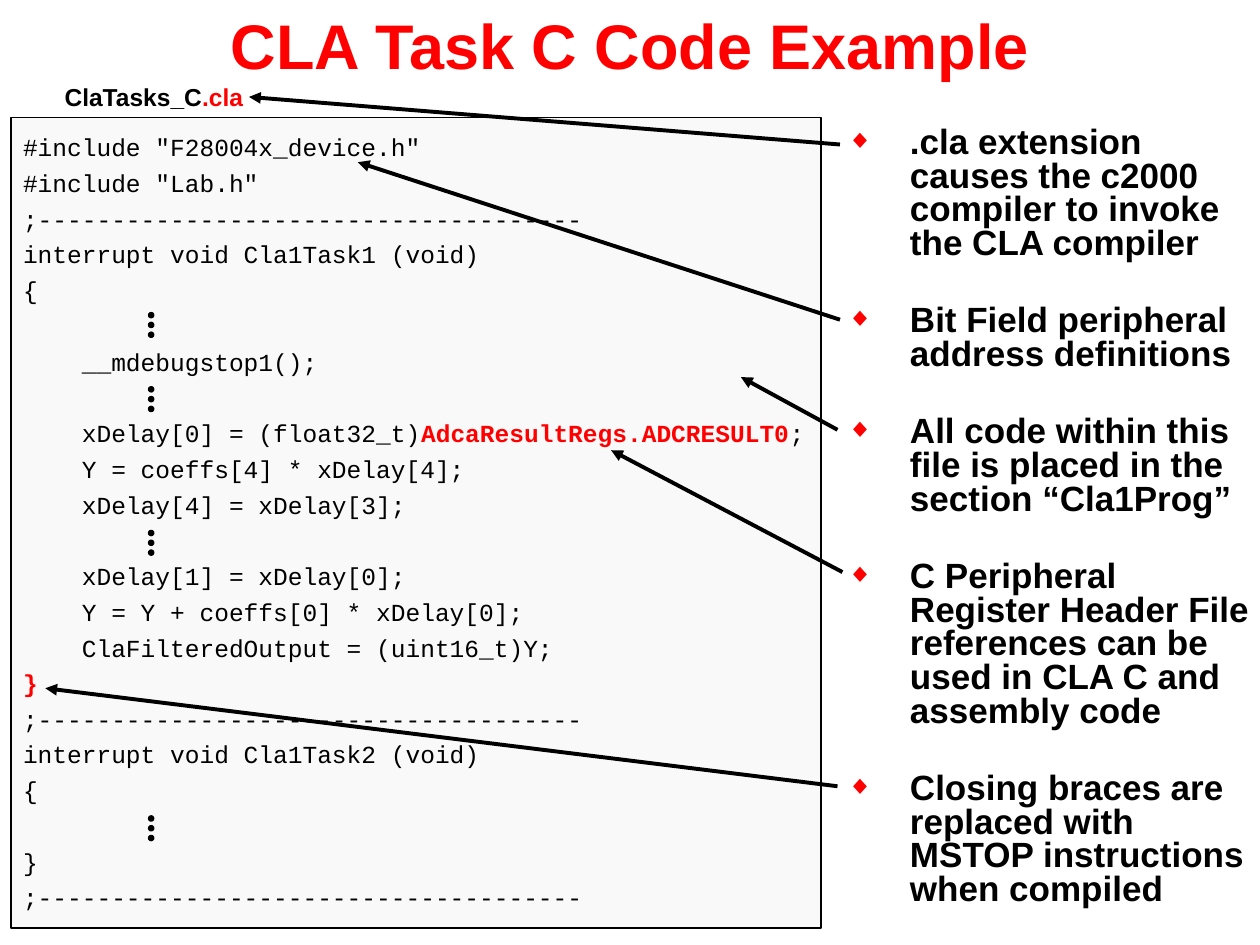
from lxml import etree
from pptx import Presentation
from pptx.dml.color import RGBColor
from pptx.enum.shapes import MSO_CONNECTOR, MSO_SHAPE
from pptx.enum.text import MSO_ANCHOR, MSO_AUTO_SIZE, PP_ALIGN
from pptx.oxml.ns import qn
from pptx.util import Pt

RECTANGLE, OVAL = MSO_SHAPE.RECTANGLE, MSO_SHAPE.OVAL
STRAIGHT = MSO_CONNECTOR.STRAIGHT
TOP, CENTER, LEFT = MSO_ANCHOR.TOP, PP_ALIGN.CENTER, PP_ALIGN.LEFT
NO_AUTOFIT = MSO_AUTO_SIZE.NONE

COLORS = {"ink": "000000", "accent": "FF0000", "code_fill": "F9F9F9"}

RULE = ";" + "-" * 37
ELIDED = None  # a skipped code line, marked by dots
CODE_GAP, CODE_PITCH = 6.9, 20.75

# Each code line is a list of (text, highlighted) runs
CODE = [
    [('#include "F28004x_device.h"', False)],
    [('#include "Lab.h"', False)],
    [(RULE, False)],
    [("interrupt void Cla1Task1 (void)", False)],
    [("{", False)],
    ELIDED,
    [("    __mdebugstop1();", False)],
    ELIDED,
    [("    xDelay[0] = (float32_t)", False),
     ("AdcaResultRegs.ADCRESULT0", True), (";", False)],
    [("    Y = coeffs[4] * xDelay[4];", False)],
    [("    xDelay[4] = xDelay[3];", False)],
    ELIDED,
    [("    xDelay[1] = xDelay[0];", False)],
    [("    Y = Y + coeffs[0] * xDelay[0];", False)],
    [("    ClaFilteredOutput = (uint16_t)Y;", False)],
    [("}", True)],
    [(RULE, False)],
    [("interrupt void Cla1Task2 (void)", False)],
    [("{", False)],
    ELIDED,
    [("}", False)],
    [(RULE, False)],
]

NOTES = [
    ".cla extension causes the c2000 compiler to invoke the CLA compiler",
    "Bit Field peripheral address definitions",
    "All code within this file is placed in the section “Cla1Prog”",
    "C Peripheral Register Header File references can be used in CLA C "
    "and assembly code",
    "Closing braces are replaced with MSTOP instructions when compiled",
]

# From each note to the code it explains: x1, y1, x2, y2
ARROWS = [
    (480, 82.6, 142.3, 55.4),
    (480, 182.7, 204.5, 92.7),
    (478.6, 245.6, 423.4, 215.5),
    (481.4, 326.9, 349.2, 257.3),
    (478.6, 449.3, 25.9, 393.3),
]
DOT_TOPS = [178.6, 221, 303.1, 466.2]


def rgb(name):
    return RGBColor.from_string(COLORS[name])


def place(shape, left, top, width, height):
    shape.left, shape.top = Pt(left), Pt(top)
    shape.width, shape.height = Pt(width), Pt(height)


def set_frame(frame, left=0, top=0, wrap=True):
    frame.auto_size = NO_AUTOFIT
    frame.word_wrap = wrap
    frame.vertical_anchor = TOP
    frame.margin_left, frame.margin_top = Pt(left), Pt(top)
    frame.margin_right = frame.margin_bottom = 0


def set_font(font, name, size, color="ink", bold=True):
    font.name, font.size, font.bold = name, Pt(size), bold
    font.color.rgb = rgb(color)


def add_run(paragraph, text, color, bold):
    run = paragraph.add_run()
    run.text = text
    run.font.bold = bold
    run.font.color.rgb = rgb(color)


def add_title(slide, text):
    title = slide.shapes.title
    place(title, 0, 0, 720, 64)
    set_frame(title.text_frame, top=4)
    title.text_frame.text = text
    heading = title.text_frame.paragraphs[0]
    heading.alignment = CENTER
    set_font(heading.font, "Arial", 36, "accent")


def add_file_name(slide, stem, extension):
    label = slide.shapes.add_textbox(Pt(25.9), Pt(46.1), Pt(121), Pt(20.9))
    set_frame(label.text_frame, left=11, top=3.8, wrap=False)
    paragraph = label.text_frame.paragraphs[0]
    paragraph.line_spacing = 0.8
    set_font(paragraph.font, "Arial", 14)
    add_run(paragraph, stem, "ink", True)
    add_run(paragraph, extension, "accent", True)


def add_code(slide, lines):
    listing = slide.shapes.add_shape(
        RECTANGLE, Pt(6.5), Pt(67.2), Pt(462.6), Pt(463))
    listing.shadow.inherit = False
    listing.fill.solid()
    listing.fill.fore_color.rgb = rgb("code_fill")
    listing.line.color.rgb = rgb("ink")
    listing.line.width = Pt(1)
    frame = listing.text_frame
    set_frame(frame, left=6.7, top=11.7, wrap=False)
    gap = 0
    for number, line in enumerate(lines):
        if line is ELIDED:
            gap += CODE_PITCH
            continue
        paragraph = frame.add_paragraph() if number else frame.paragraphs[0]
        paragraph.alignment = LEFT
        paragraph.line_spacing = 0.8
        paragraph.space_before = Pt(gap)
        set_font(paragraph.font, "Courier New", 14, bold=False)
        for text, highlighted in line:
            add_run(paragraph, text, "accent" if highlighted else "ink", highlighted)
        gap = CODE_GAP


def add_bullet(paragraph):
    properties = paragraph._p.get_or_add_pPr()
    properties.set("marL", str(Pt(36)))
    properties.set("indent", str(-Pt(36)))
    color = etree.SubElement(properties, qn("a:buClr"))
    etree.SubElement(color, qn("a:srgbClr"), val=COLORS["accent"])
    etree.SubElement(properties, qn("a:buSzPct"), val="75000")
    etree.SubElement(properties, qn("a:buFont"), typeface="Arial")
    etree.SubElement(properties, qn("a:buChar"), char="◆")


def add_notes_list(slide, notes):
    body = slide.placeholders[1]
    place(body, 484, 73, 236, 450)
    frame = body.text_frame
    set_frame(frame)
    for number, note in enumerate(notes):
        paragraph = frame.add_paragraph() if number else frame.paragraphs[0]
        paragraph.text = note
        add_bullet(paragraph)
        paragraph.line_spacing = 0.8
        paragraph.space_before = Pt(25 if number else 0)
        set_font(paragraph.font, "Arial", 20)


def add_arrow(slide, x1, y1, x2, y2):
    arrow = slide.shapes.add_connector(STRAIGHT, Pt(x1), Pt(y1), Pt(x2), Pt(y2))
    arrow.line.color.rgb = rgb("ink")
    arrow.line.width = Pt(2.25)
    etree.SubElement(arrow.line._get_or_add_ln(), qn("a:tailEnd"), type="triangle")
    etree.SubElement(arrow._element.spPr, qn("a:effectLst"))


def add_dots(slide, top):
    dots = slide.shapes.add_group_shape()
    for step in range(3):
        dot = dots.shapes.add_shape(
            OVAL, Pt(84.9), Pt(top + 5.6 * step), Pt(3), Pt(3))
        dot.shadow.inherit = False
        dot.fill.solid()
        dot.fill.fore_color.rgb = rgb("ink")
        dot.line.color.rgb = rgb("ink")
        dot.line.width = Pt(0.75)


def main():
    deck = Presentation()
    deck.slide_width, deck.slide_height = Pt(720), Pt(540)
    slide = deck.slides.add_slide(deck.slide_layouts[1])
    add_title(slide, "CLA Task C Code Example")
    add_code(slide, CODE)
    add_file_name(slide, "ClaTasks_C", ".cla")
    add_notes_list(slide, NOTES)
    for ends in ARROWS:
        add_arrow(slide, *ends)
    for top in DOT_TOPS:
        add_dots(slide, top)
    deck.save("out.pptx")


if __name__ == "__main__":
    main()
